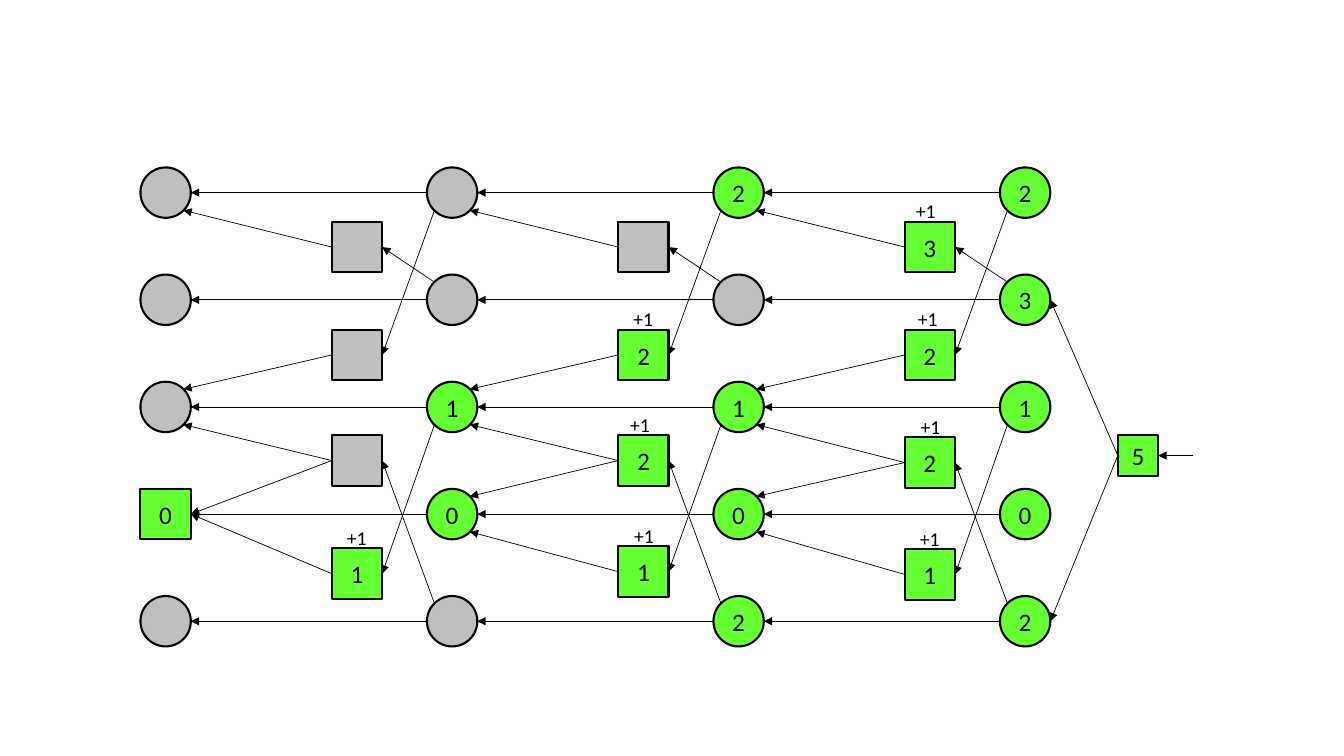
from lxml.etree import SubElement
from pptx import Presentation
from pptx.dml.color import RGBColor
from pptx.enum.shapes import MSO_CONNECTOR, MSO_SHAPE
from pptx.enum.text import MSO_ANCHOR, MSO_AUTO_SIZE, PP_ALIGN
from pptx.oxml.ns import qn
from pptx.util import Cm, Pt

COLORS = {"active": "66FF33", "idle": "BFBFBF", "ink": "000000"}
INK = RGBColor.from_string(COLORS["ink"])
LEFT, RIGHT, OUTSIDE = (0, 0.5), (1, 0.5), (1.86, 0.5)
UPPER_LEFT, LOWER_LEFT = (0.15, 0.15), (0.15, 0.85)
UPPER_RIGHT, LOWER_RIGHT = (0.85, 0.15), (0.85, 0.85)
SIDES = {LEFT: 1, RIGHT: 3}
PITCH_X, PITCH_Y, SIZE = 7.22, 2.7, 1.27

NODE_VALUES = [
    ["", "", "", "0", ""],
    ["", "", "1", "0", ""],
    ["2", "", "1", "0", "2"],
    ["2", "3", "1", "0", "2"],
]
GATES = [
    [("", 5.59, 0), ("", 8.31, 0), ("", 10.97, 0), ("1", 13.82, 0.13)],
    [("", 5.59, 0), ("2", 8.31, 0.13), ("2", 10.97, 0.05), ("1", 13.77, 0.15)],
    [("3", 5.59, 0.03), ("2", 8.31, 0.08), ("2", 11.02, 0.15), ("1", 13.84, 0.13)],
]
GATE_LINKS = [
    (1, UPPER_LEFT, [(0, LOWER_RIGHT)]),
    (0, LOWER_LEFT, [(2, UPPER_RIGHT)]),
    (4, UPPER_LEFT, [(2, LOWER_RIGHT), (3, UPPER_RIGHT)]),
    (2, LOWER_LEFT, [(3, LOWER_RIGHT)]),
]

prs = Presentation()
prs.slide_width, prs.slide_height = Cm(33.87), Cm(19.05)
s = prs.slides.add_slide(prs.slide_layouts[6])


def write(sp, text, size=18, align=PP_ALIGN.CENTER, anchor=MSO_ANCHOR.MIDDLE):
    tf = sp.text_frame
    tf.vertical_anchor = anchor
    p = tf.paragraphs[0]
    p.alignment = align
    r = p.add_run()
    r.text = text
    r.font.name, r.font.size = "Calibri", Pt(size)
    r.font.color.rgb = INK


def arrow(start, start_site, end, end_site):
    ends = []
    for sp, (fx, fy) in ((start, start_site), (end, end_site)):
        ends += [round(sp.left + fx * sp.width), round(sp.top + fy * sp.height)]
    cxn = s.shapes.add_connector(MSO_CONNECTOR.STRAIGHT, *ends)
    for sp, site, join in (
        (start, start_site, cxn.begin_connect),
        (end, end_site, cxn.end_connect),
    ):
        if sp.auto_shape_type == MSO_SHAPE.RECTANGLE and site in SIDES:
            join(sp, SIDES[site])
    cxn.line.color.rgb = INK
    cxn.line.width = Pt(0.5)
    SubElement(cxn.line._get_or_add_ln(), qn("a:tailEnd"), type="triangle")
    SubElement(cxn._element.spPr, qn("a:effectLst"))


boxes = {}
for col, values in enumerate(NODE_VALUES):
    for row, value in enumerate(values):
        kind = MSO_SHAPE.RECTANGLE if (col, row) == (0, 3) else MSO_SHAPE.OVAL
        x, y = 3.54 + PITCH_X * col, 4.22 + PITCH_Y * row
        boxes["node", col, row] = (kind, x, y, SIZE, value)
for col, gates in enumerate(GATES):
    for row, (value, top, shift) in enumerate(gates):
        x = 8.36 + PITCH_X * col
        boxes["gate", col, row] = (MSO_SHAPE.RECTANGLE, x, top, SIZE, value)
boxes["root"] = (MSO_SHAPE.RECTANGLE, 28.17, 10.97, 1.02, "5")

drawn = {}
for key, (kind, x, y, size, value) in boxes.items():
    sp = s.shapes.add_shape(kind, Cm(x), Cm(y), Cm(size), Cm(size))
    sp.shadow.inherit = False
    sp.fill.solid()
    sp.fill.fore_color.rgb = RGBColor.from_string(COLORS["active" if value else "idle"])
    sp.line.color.rgb = INK
    sp.line.width = Pt(1.5)
    if value:
        write(sp, value)
    drawn[key] = sp

for col, gates in enumerate(GATES):
    for row in range(5):
        arrow(drawn["node", col + 1, row], LEFT, drawn["node", col, row], RIGHT)
    for row, (source, source_site, targets) in enumerate(GATE_LINKS):
        gate = drawn["gate", col, row]
        arrow(drawn["node", col + 1, source], source_site, gate, RIGHT)
        for target, site in targets:
            node = drawn["node", col, target]
            if node.auto_shape_type == MSO_SHAPE.RECTANGLE:
                site = RIGHT
            arrow(gate, LEFT, node, site)

root = drawn["root"]
for row in (1, 4):
    arrow(root, LEFT, drawn["node", 3, row], RIGHT)
arrow(root, OUTSIDE, root, RIGHT)

for col, gates in enumerate(GATES):
    for row, (value, top, shift) in enumerate(gates):
        if value:
            gate = drawn["gate", col, row]
            label = s.shapes.add_textbox(
                gate.left + Cm(shift), gate.top - Cm(0.69), Cm(1.02), Cm(0.86)
            )
            label.text_frame.word_wrap = False
            label.text_frame.auto_size = MSO_AUTO_SIZE.SHAPE_TO_FIT_TEXT
            write(label, "+1", size=14, align=PP_ALIGN.LEFT, anchor=MSO_ANCHOR.TOP)

prs.save("out.pptx")
